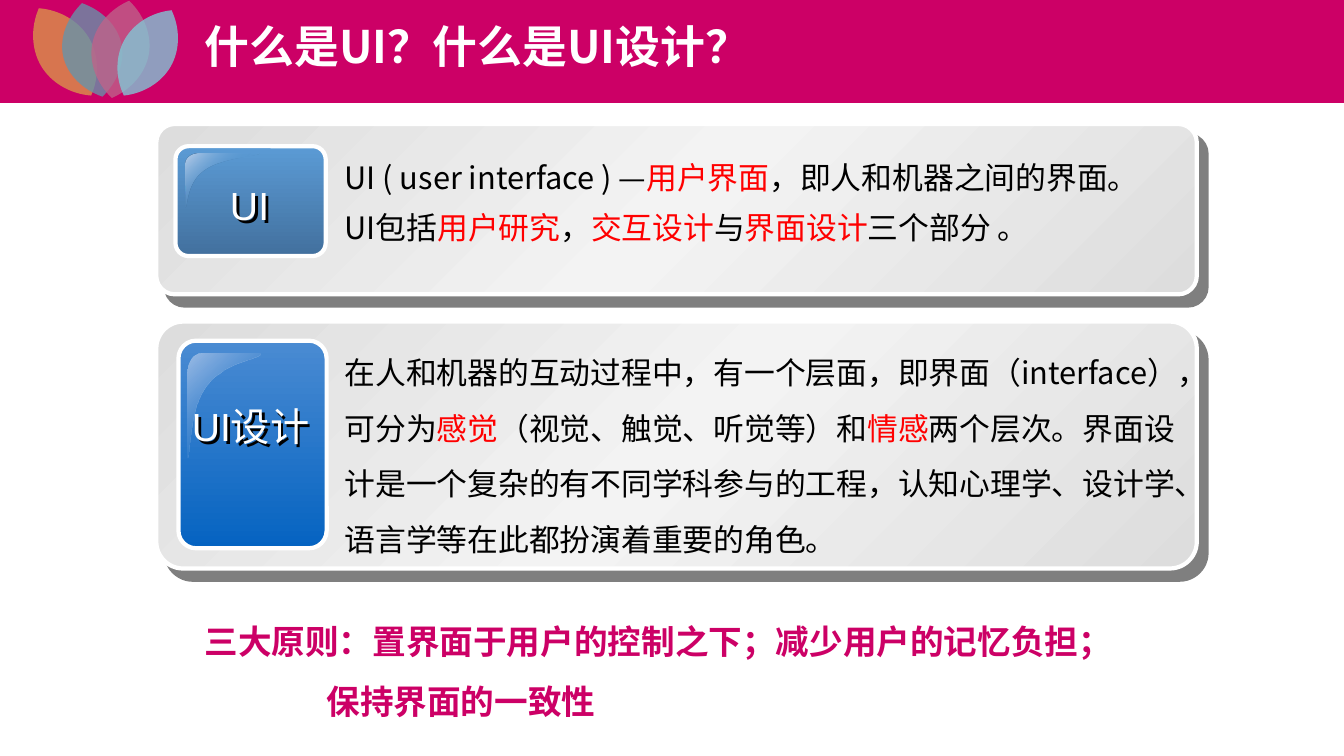
from lxml.etree import SubElement
from pptx import Presentation
from pptx.dml.color import RGBColor
from pptx.enum.shapes import MSO_SHAPE
from pptx.enum.text import MSO_ANCHOR, MSO_AUTO_SIZE, PP_ALIGN
from pptx.oxml.ns import qn
from pptx.util import Inches, Pt

COLORS = {
    "magenta": "CC0066", "white": "FFFFFF", "black": "000000", "red": "FF0000",
    "card_edge": "DDDDDD", "card_middle": "F3F3F3",
    "steel_top": "5B9BD5", "steel_bottom": "42709E", "steel_gloss": "BED0E9",
    "blue_top": "4A8BD2", "blue_bottom": "0563C1", "blue_gloss": "9DBDE6",
    "orange": "DB9649", "teal": "6694AB", "rose": "BF638A", "cyan": "80CAD7",
}
FONT = "Noto Sans CJK SC"
LABEL_FONT = "Arial"

# Outlines in a unit square: a start point, then lines (one point)
# and cubic curves (two controls and an end).
PETAL = [(0.5, 0),
         [(0.19, 0.12), (0, 0.31), (0, 0.5)],
         [(0, 0.69), (0.19, 0.88), (0.5, 1)],
         [(0.81, 0.88), (1, 0.69), (1, 0.5)],
         [(1, 0.31), (0.81, 0.12), (0.5, 0)]]
GLOSS = [(0.19, 0),
         [(0.08, 0), (0, 0.09), (0, 0.2)],
         [(0, 1)],
         [(0.04, 1), (0.01, 0.52), (0.27, 0.3)],
         [(0.51, 0.07), (1, 0.06), (0.99, 0)],
         [(0.19, 0)]]
PETALS = [
    ("orange", (0.37, 0.01, 0.55, 1.01), 149.1),
    ("teal", (0.62, 0.02, 0.59, 0.95), 347.7),
    ("rose", (0.91, 0, 0.57, 0.98), 10.1),
    ("cyan", (1.2, 0.04, 0.53, 0.97), 29.2),
]


def add_color(parent, color, alpha=100):
    node = SubElement(parent, qn("a:srgbClr"), val=COLORS[color])
    if alpha < 100:
        SubElement(node, qn("a:alpha"), val=str(alpha * 1000))


def add_shadow(shape, alpha, distance, angle):
    shape.shadow.inherit = False
    effects = shape._element.spPr.find(qn("a:effectLst"))
    shadow = SubElement(effects, qn("a:outerShdw"), blurRad="0", dist=str(Pt(distance)),
                        dir=str(angle * 60000), algn="ctr", rotWithShape="0")
    add_color(shadow, "black", alpha)


def write(box, paragraphs, size, color, font=FONT, bold=False, spacing=1.0,
          before=0, align=PP_ALIGN.LEFT, wrap=True, indents=()):
    """Fill a box; a paragraph is a list of (text, colour or None) spans."""
    frame = box.text_frame
    frame.word_wrap = wrap
    frame.auto_size = MSO_AUTO_SIZE.NONE
    frame.vertical_anchor = MSO_ANCHOR.TOP
    for number, spans in enumerate(paragraphs):
        para = frame.add_paragraph() if number else frame.paragraphs[0]
        para.alignment = align
        para.line_spacing = spacing
        para.space_before = Pt(before if number else 0)
        if number < len(indents):
            para._p.get_or_add_pPr().set("marL", str(Inches(indents[number])))
        for text, tint in spans:
            span = para.add_run()
            span.text = text
            span.font.size = Pt(size)
            span.font.bold = bold
            span.font.color.rgb = RGBColor.from_string(COLORS[tint or color])
            span.font.name = font
            SubElement(span.font._element, qn("a:ea"), typeface=FONT)


class SlideBuilder:
    def __init__(self, deck):
        self.page = deck.slides.add_slide(deck.slide_layouts[5])
        self.shapes = self.page.shapes

    def finish(self, shape, fill, alpha=100, outline=None):
        """Give a solid colour with opacity, and an optional outline."""
        shape.shadow.inherit = False
        shape.fill.solid()
        shape.fill.fore_color.rgb = RGBColor.from_string(COLORS[fill])
        if alpha < 100:
            solid = shape._element.spPr.find(qn("a:solidFill"))
            SubElement(solid[0], qn("a:alpha"), val=str(alpha * 1000))
        if outline:
            shape.line.color.rgb = RGBColor.from_string(COLORS[outline])
            shape.line.width = Pt(3)
        else:
            shape.line.fill.background()

    def gradient(self, shape, stops, angle):
        """Replace the fill by evenly spaced (colour, opacity) stops."""
        shape.fill.gradient()
        fill = shape._element.spPr.find(qn("a:gradFill"))
        for child in list(fill):
            fill.remove(child)
        stop_list = SubElement(fill, qn("a:gsLst"))
        for number, (color, alpha) in enumerate(stops):
            position = 100000 * number // (len(stops) - 1)
            add_color(SubElement(stop_list, qn("a:gs"), pos=str(position)), color, alpha)
        SubElement(fill, qn("a:lin"), ang=str(angle * 60000), scaled="0")

    def block(self, kind, area, fill, outline=None, corner=None):
        shape = self.shapes.add_shape(kind, *map(Inches, area))
        if corner is not None:
            shape.adjustments[0] = corner
        self.finish(shape, fill, outline=outline)
        return shape

    def curved(self, outline, area, fill, alpha=100):
        """Stretch a unit outline over an area, keeping its curves."""
        left, top, width, height = map(Inches, area)
        start, *segments = outline
        ends = [(left + x * width, top + y * height)
                for x, y in [start] + [segment[-1] for segment in segments]]
        builder = self.shapes.build_freeform(*ends[0], scale=1.0)
        builder.add_line_segments(ends[1:], close=True)
        shape = builder.convert_to_shape()
        lines = list(shape._element.spPr.iter(qn("a:lnTo")))
        for line, segment in zip(lines, segments):
            if len(segment) == 3:
                line.tag = qn("a:cubicBezTo")
                line.remove(line[0])
                for x, y in segment:
                    SubElement(line, qn("a:pt"), x=str(round(x * width)),
                               y=str(round(y * height)))
        self.finish(shape, fill, alpha)
        return shape

    def card(self, area):
        card = self.block(MSO_SHAPE.ROUNDED_RECTANGLE, area, "card_edge", "white", 0.109)
        self.gradient(card, [("card_edge", 100), ("card_middle", 100), ("card_edge", 100)], 45)
        add_shadow(card, 50, 10.6, 49)

    def tile(self, area, top, bottom, gloss_area, gloss_stops):
        tile = self.block(MSO_SHAPE.ROUNDED_RECTANGLE, area, top, "white", 0.119)
        self.gradient(tile, [(top, 100), (bottom, 100)], 90)
        self.gradient(self.curved(GLOSS, gloss_area, top), gloss_stops, 45)

    def text(self, area, paragraphs, size, color, **style):
        box = self.shapes.add_textbox(*map(Inches, area))
        write(box, paragraphs, size, color, **style)
        return box

    def label(self, area, text, wrap):
        box = self.text(area, [[(text, None)]], 28, "white", font=LABEL_FONT,
                        align=PP_ALIGN.CENTER, wrap=wrap)
        add_shadow(box, 100, 2.8, 45)

    def title(self, area, text, size, color):
        box = self.shapes.title
        self.shapes._spTree.append(box._element)
        box.left, box.top, box.width, box.height = map(Inches, area)
        write(box, [[(text, None)]], size, color, bold=True)


def main():
    deck = Presentation()
    deck.slide_width, deck.slide_height = Inches(13.33), Inches(7.5)
    page = SlideBuilder(deck)

    page.block(MSO_SHAPE.RECTANGLE, (0, 0, 13.33, 1.02), "magenta")
    for color, area, angle in PETALS:
        page.curved(PETAL, area, color, 78).rotation = angle

    page.card((1.55, 1.23, 10.32, 1.69))
    page.tile((1.74, 1.45, 1.49, 1.09), "steel_top", "steel_bottom", (1.84, 1.52, 0.74, 0.54),
              [("steel_gloss", 100), ("steel_top", 0), ("steel_gloss", 100)])
    page.label((2.18, 1.75, 0.59, 0.3), "UI", wrap=False)
    page.text((3.32, 1.45, 8.54, 1.06), [
        [("UI ( user interface ) —", None), ("用户界面", "red"),
         ("，即人和机器之间的界面。", None)],
        [("UI包括", None), ("用户研究", "red"), ("，", None), ("交互设计", "red"),
         ("与", None), ("界面设计", "red"), ("三个部分 。", None)],
    ], 22, "black", spacing=1.2, before=4.4)

    page.card((1.55, 3.19, 10.32, 2.45))
    page.tile((1.77, 3.38, 1.47, 2.06), "blue_top", "blue_bottom", (1.86, 3.51, 0.73, 1.03),
              [("blue_gloss", 100), ("blue_bottom", 0)])
    page.label((1.8, 3.94, 1.37, 0.54), "UI设计", wrap=True)
    page.text((3.32, 3.28, 8.54, 2.32), [[
        ("在人和机器的互动过程中，有一个层面，即界面（interface），可分为", None),
        ("感觉", "red"), ("（视觉、触觉、听觉等）和", None), ("情感", "red"),
        ("两个层次。界面设计是一个复杂的有不同学科参与的工程，"
         "认知心理学、设计学、语言学等在此都扮演着重要的角色。", None),
    ]], 22, "black", spacing=1.5)

    page.title((1.93, 0.14, 7.1, 0.64), "什么是UI？什么是UI设计？", 32, "white")
    page.text((1.93, 5.91, 9.68, 1.31), [
        [("三大原则：置界面于用户的控制之下；减少用户的记忆负担；", None)],
        [("保持界面的一致性", None)],
    ], 24, "magenta", bold=True, spacing=1.5, indents=(0, 1.21))
    deck.save("out.pptx")


if __name__ == "__main__":
    main()
